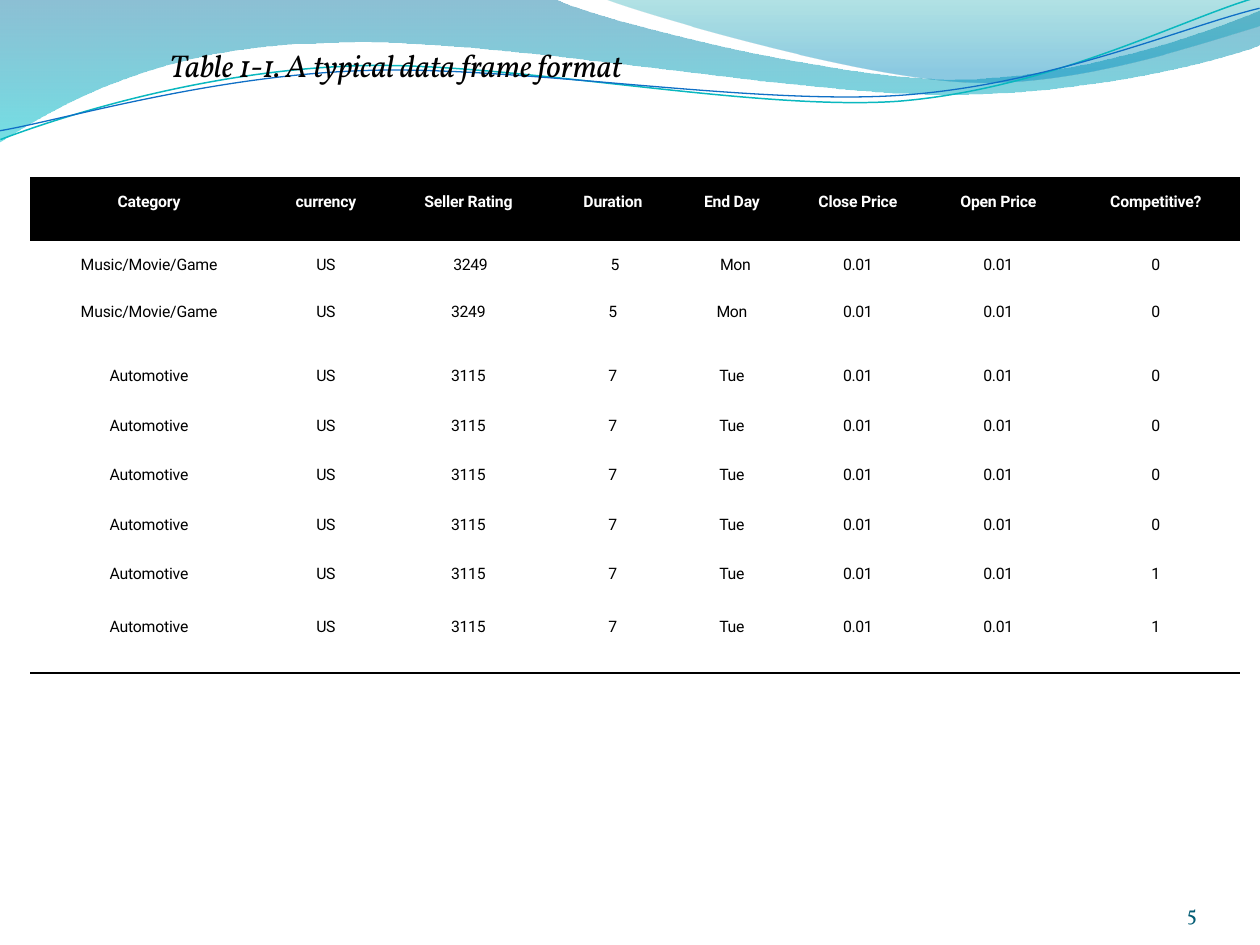
from pptx import Presentation
from pptx.dml.color import RGBColor
from pptx.enum.text import MSO_ANCHOR, MSO_AUTO_SIZE, PP_ALIGN
from pptx.oxml import parse_xml
from pptx.oxml.ns import nsdecls, qn
from pptx.util import Emu, Pt

LEFT, MID, RIGHT = PP_ALIGN.LEFT, PP_ALIGN.CENTER, PP_ALIGN.RIGHT
TOP, BASE = MSO_ANCHOR.TOP, MSO_ANCHOR.BOTTOM
FIXED = MSO_AUTO_SIZE.NONE
SCALE = 914400 / 126
TILT = -2.7
PLAIN = "{2D5ABB26-0587-4C30-8999-92F81FD0307C}"

WIDTHS = [232, 122, 163, 126, 112, 140, 141, 174]
HEIGHTS = [64] * 3 + [50, 49] * 2 + [53] * 2
SPACING = [-10, -30, -20, -50, -20, -20, -20, -50]
NUDGE = {2: 4, 3: 4, 4: 7}
HEAD = ["Category", "currency", "Seller Rating", "Duration", "End Day",
        "Close Price", "Open Price", "Competitive?"]
MUSIC = ["Music/Movie/Game", "US", "3249", "5", "Mon", "0.01", "0.01", "0"]
AUTO = ["Automotive", "US", "3115", "7", "Tue", "0.01", "0.01"]
ROWS = [HEAD] + [MUSIC] * 2 + [AUTO + [flag] for flag in "000011"]

BAND = [(0, 0), (554, -1), (600, 21, 837, 79, 955, 79),
        (1074, 79, 1207, 33, 1260, 11), (1261, 45),
        (1237, 55, 1096, 96, 940, 94), (784, 94, 481, 35, 324, 43),
        (163, 45, 58, 105, -1, 142), (0, 0)]
CREST = [(604, -1), (641, 14, 859, 78, 969, 82),
         (1079, 87, 1211, 40, 1260, 26), (1260, 0), (604, -1)]
TEAL = [(-2, 110), (59, 90, 200, 52, 350, 53), (499, 53, 745, 117, 896, 114),
        (1049, 109, 1184, 45, 1260, 27)]
BLUE = [(-2, 101), (57, 94, 207, 57, 357, 58), (509, 58, 750, 112, 902, 108),
        (1052, 104, 1188, 52, 1262, 38)]


def px(num):
    return Emu(round(num * SCALE))


def color(code):
    return RGBColor.from_string(code)


def bend(lines):
    first = lines[0]
    cubic = parse_xml(f'<a:cubicBezTo {nsdecls("a")}/>')
    first.addprevious(cubic)
    for line in lines:
        cubic.append(line[0])
        line.getparent().remove(line)


def outline(slide, path, close=False):
    dots = [(px(part[i]), px(part[i + 1]))
            for part in path for i in range(0, len(part), 2)]
    pen = slide.shapes.build_freeform(*dots[0])
    pen.add_line_segments(dots[1:], close=close)
    shape = pen.convert_to_shape()
    shape.shadow.inherit = False
    lines = list(shape._element.spPr.iter(qn("a:lnTo")))
    for part in path[1:]:
        count = len(part) // 2
        if count == 3:
            bend(lines[:count])
        lines = lines[count:]
    return shape


def wave(slide, path, stops):
    shape = outline(slide, path, close=True)
    shape.line.fill.background()
    shape.fill.gradient()
    shape.fill.gradient_angle = 270
    for stop, (place, code, _) in zip(shape.fill.gradient_stops, stops):
        stop.position = place
        stop.color.rgb = color(code)
    tones = shape._element.spPr.iter(qn("a:srgbClr"))
    for tone, (_, _, alpha) in zip(tones, stops):
        tone.append(parse_xml(f'<a:alpha {nsdecls("a")} val="{alpha * 1000}"/>'))


def curve(slide, path, code, width):
    shape = outline(slide, path)
    shape.rotation = TILT
    shape.fill.background()
    shape.line.color.rgb = color(code)
    shape.line.width = Pt(width)


def write(frame, text, size=9, face="Roboto", code="000000", bold=False,
          slant=False, align=MID, track=0, lead=None):
    para = frame.paragraphs[0]
    para.alignment = align
    if lead:
        para.line_spacing = Pt(lead)
    run = para.add_run()
    run.text = text
    font = run.font
    font.size, font.name, font.bold, font.italic = Pt(size), face, bold, slant
    font.color.rgb = color(code)
    if track:
        run._r.get_or_add_rPr().set("spc", str(track))


def place(shape, left, top, width, height):
    shape.left, shape.top = px(left), px(top)
    shape.width, shape.height = px(width), px(height)


def title(slide, text):
    shape = slide.shapes.title
    place(shape, 157, 40, 689, 50)
    frame = shape.text_frame
    frame.auto_size, frame.vertical_anchor = FIXED, TOP
    write(frame, text, size=18, face="Vollkorn", slant=True, align=LEFT)
    slide.shapes._spTree.append(shape._element)


def number(slide, text):
    box = slide.shapes.add_textbox(px(1092), px(876), px(105), px(50))
    frame = box.text_frame
    frame.word_wrap, frame.vertical_anchor = True, BASE
    frame.margin_left = frame.margin_right = 0
    frame.margin_top = frame.margin_bottom = 0
    write(frame, text, size=12, face="Vollkorn", code="045D75", align=RIGHT)


def rule(cell):
    cell._tc.get_or_add_tcPr().append(parse_xml(
        f'<a:lnB {nsdecls("a")} w="12700"><a:solidFill>'
        '<a:srgbClr val="000000"/></a:solidFill></a:lnB>'))


def fill_cell(cell, text, row, col):
    head = row == 0
    cell.margin_left = px(6 + (NUDGE.get(col, 0) if row == 1 else 0))
    cell.margin_top = px({0: 18, 1: 17}.get(row, 0))
    cell.margin_right = cell.margin_bottom = 0
    cell.vertical_anchor = TOP
    if row == len(ROWS) - 1:
        rule(cell)
    if head:
        cell.fill.solid()
        cell.fill.fore_color.rgb = color("000000")
    else:
        cell.fill.background()
    write(cell.text_frame, text, code="FFFFFF" if head else "000000",
          bold=head, track=-10 if head else SPACING[col], lead=9.2)


def table(slide):
    frame = slide.shapes.add_table(len(ROWS), len(HEAD), px(30), px(177),
                                   px(sum(WIDTHS)), px(sum(HEIGHTS)))
    grid = frame.table
    grid.horz_banding = False
    grid._tbl.tblPr.find(qn("a:tableStyleId")).text = PLAIN
    for column, width in zip(grid.columns, WIDTHS):
        column.width = px(width)
    for row, height in enumerate(HEIGHTS):
        grid.rows[row].height = px(height)
        for col, text in enumerate(ROWS[row]):
            fill_cell(grid.cell(row, col), text, row, col)


def main():
    deck = Presentation()
    deck.slide_width, deck.slide_height = px(1260), px(945)
    slide = deck.slides.add_slide(deck.slide_layouts[5])
    wave(slide, BAND, [(0, "0074A1", 45), (1, "00C6CF", 55)])
    wave(slide, CREST, [(0, "00A1A9", 30), (0.8, "008BBF", 45)])
    curve(slide, TEAL, "0AB8BF", 0.85)
    curve(slide, BLUE, "0F6FC6", 0.75)
    table(slide)
    title(slide, "Table 1-1. A typical data frame format")
    number(slide, "5")
    deck.save("out.pptx")


if __name__ == "__main__":
    main()
